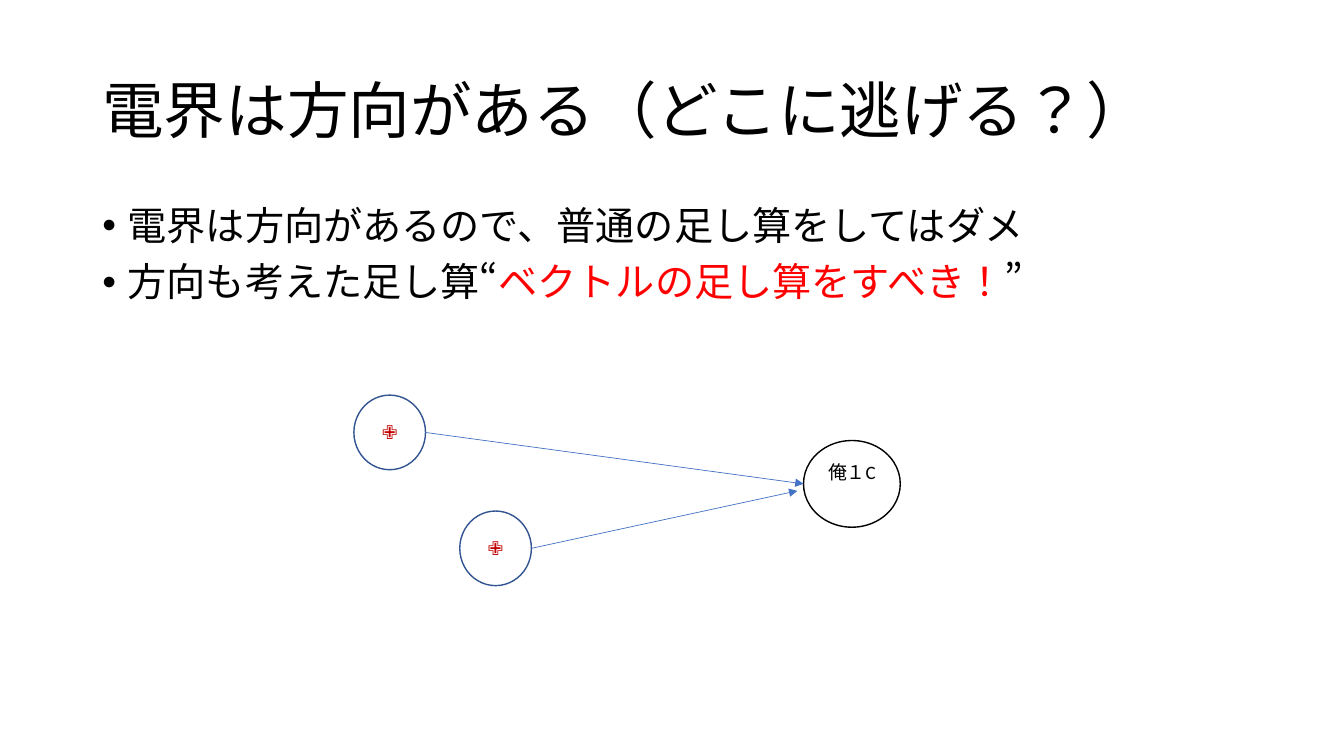
from dataclasses import dataclass

from lxml.etree import SubElement
from pptx import Presentation
from pptx.dml.color import RGBColor
from pptx.enum.lang import MSO_LANGUAGE_ID as Language
from pptx.enum.shapes import MSO_CONNECTOR as Connector, MSO_SHAPE as Preset
from pptx.enum.text import MSO_ANCHOR as Anchor, PP_ALIGN as Align
from pptx.oxml.ns import qn
from pptx.util import Inches, Pt

WIDTH, HEIGHT = Inches(13.333), Inches(7.5)
FONT = "Calibri"
COLORS = {
    "paper": "FFFFFF",
    "ink": "000000",
    "stress": "FF0000",
    "plus": "C00000",
    "rim": "325491",
    "arrow": "4472C4",
}


@dataclass(frozen=True)
class Area:
    """Position and size in percent of the slide's width and height."""
    left: float
    top: float
    width: float
    height: float

    def emu(self) -> tuple[int, int, int, int]:
        return (*point(self.left, self.top), *point(self.width, self.height))

    @property
    def middle(self) -> float:
        return self.top + self.height / 2

    @property
    def right(self) -> float:
        return self.left + self.width


@dataclass(frozen=True)
class Body:
    """A round body taking part in the electric field."""
    area: Area
    label: str
    rim: str
    ink: str
    bottom_inset: float = 0.05


def point(x: float, y: float) -> tuple[int, int]:
    return round(WIDTH * x / 100), round(HEIGHT * y / 100)


def color(name: str) -> RGBColor:
    return RGBColor.from_string(COLORS[name])


def write(para, text: str, *, size: float, ink: str = "ink") -> None:
    span = para.add_run()
    span.text = text
    span.font.name = FONT
    span.font.size = Pt(size)
    span.font.color.rgb = color(ink)
    span.font.language_id = Language.JAPANESE


def add_bullet(para) -> None:
    props = para._p.get_or_add_pPr()
    props.set("marL", str(Inches(0.25)))
    props.set("indent", str(-Inches(0.25)))
    SubElement(props, qn("a:buFont"), typeface="Arial")
    SubElement(props, qn("a:buChar"), char="•")


def add_text(page, area: Area, paragraphs: list, *, size: float,
             anchor: Anchor = Anchor.TOP, bullets: bool = False) -> None:
    frame = page.shapes.add_textbox(*area.emu()).text_frame
    frame.word_wrap = True
    frame.vertical_anchor = anchor
    for index, spans in enumerate(paragraphs):
        para = frame.add_paragraph() if index else frame.paragraphs[0]
        para.line_spacing = 0.9
        if bullets:
            para.space_before = Pt(10)
            add_bullet(para)
        for text, ink in spans:
            write(para, text, size=size, ink=ink)


def add_body(page, body: Body) -> None:
    circle = page.shapes.add_shape(Preset.OVAL, *body.area.emu())
    circle.shadow.inherit = False
    circle.fill.solid()
    circle.fill.fore_color.rgb = color("paper")
    circle.line.color.rgb = color(body.rim)
    circle.line.width = Pt(1)
    frame = circle.text_frame
    frame.word_wrap = True
    frame.vertical_anchor = Anchor.MIDDLE
    frame.margin_bottom = Inches(body.bottom_inset)
    para = frame.paragraphs[0]
    para.alignment = Align.CENTER
    write(para, body.label, size=13.5, ink=body.ink)


def add_arrow(page, start: tuple[float, float], end: tuple[float, float]) -> None:
    arrow = page.shapes.add_connector(Connector.STRAIGHT, *point(*start), *point(*end))
    arrow.line.color.rgb = color("arrow")
    arrow.line.width = Pt(0.5)
    SubElement(arrow.line._get_or_add_ln(), qn("a:tailEnd"), type="triangle")
    SubElement(arrow._element.spPr, qn("a:effectLst"))


TITLE_AREA = Area(6.88, 5.33, 86.25, 19.33)
POINTS_AREA = Area(6.88, 26.67, 86.25, 63.47)
TITLE = [[("電界は方向がある（どこに逃げる？）", "ink")]]
POINTS = [
    [("電界は方向があるので、普通の足し算をしてはダメ", "ink")],
    [("方向も考えた足し算“", "ink"), ("ベクトルの足し算をすべき！", "stress"), ("”", "ink")],
]
CHARGES = [
    Body(Area(left, top, 5.33, 9.87), "✙", "rim", "plus")
    for left, top in [(26.33, 52.27), (34.21, 67.6)]
]
# The deeper bottom inset lifts the label above the circle's centre
TARGET = Body(Area(59.79, 58.27, 7.2, 11.47), "俺１C", "ink", "ink", bottom_inset=0.28)
ARROW_ENDS = [(TARGET.area.left, TARGET.area.middle), (59.33, 64.93)]


def main() -> None:
    deck = Presentation()
    deck.slide_width, deck.slide_height = WIDTH, HEIGHT
    page = deck.slides.add_slide(deck.slide_layouts[6])

    # Title and bullet points
    add_text(page, TITLE_AREA, TITLE, size=44, anchor=Anchor.MIDDLE)
    add_text(page, POINTS_AREA, POINTS, size=28, bullets=True)

    # Charges and the body they act on
    for body in [*CHARGES, TARGET]:
        add_body(page, body)

    # Field directions
    for charge, end in zip(CHARGES, ARROW_ENDS):
        add_arrow(page, (charge.area.right, charge.area.middle), end)

    deck.save("out.pptx")


if __name__ == "__main__":
    main()
